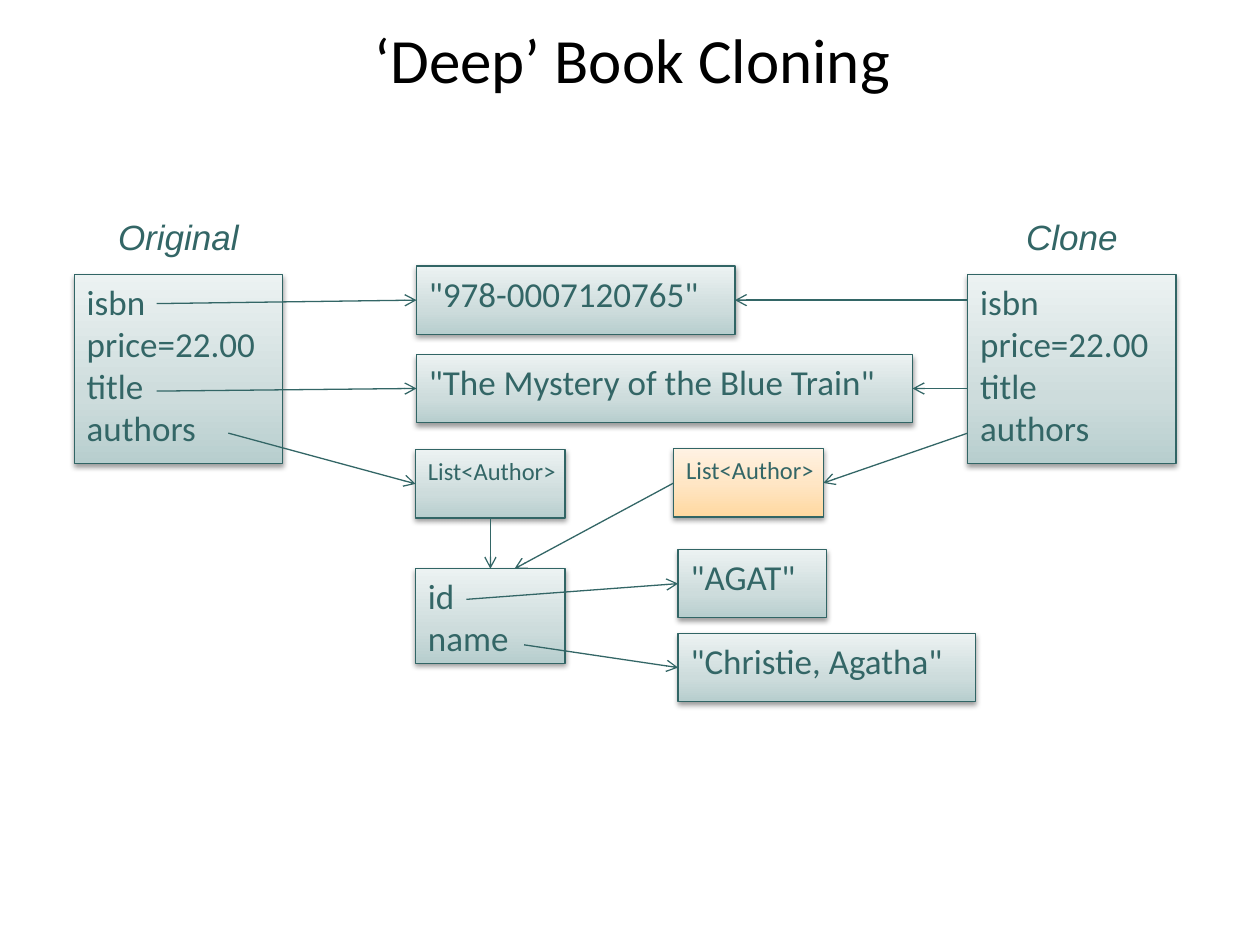
from enum import IntEnum

from lxml.etree import SubElement
from pptx import Presentation
from pptx.dml.color import RGBColor
from pptx.enum.shapes import MSO_CONNECTOR, MSO_SHAPE
from pptx.enum.text import MSO_ANCHOR, PP_ALIGN
from pptx.oxml.ns import qn
from pptx.util import Pt

BLACK = RGBColor(0x00, 0x00, 0x00)
TEAL = RGBColor(0x33, 0x66, 0x66)
BORDER = RGBColor(0x31, 0x65, 0x65)
# Gradient stops from bottom to top: percent and colour
TEAL_GRADIENT = (
    (0, RGBColor(0xB7, 0xCE, 0xCE)),
    (35, RGBColor(0xCD, 0xDC, 0xDC)),
    (100, RGBColor(0xEC, 0xF2, 0xF2)),
)
ORANGE_GRADIENT = (
    (0, RGBColor(0xFF, 0xD8, 0xA0)),
    (50, RGBColor(0xFF, 0xE6, 0xC5)),
    (100, RGBColor(0xFF, 0xF2, 0xE3)),
)


class Side(IntEnum):
    """Connection sites of a rectangle."""
    TOP = 0
    LEFT = 1
    BOTTOM = 2
    RIGHT = 3


def add_element(parent, tag, **attributes):
    values = {name: str(value) for name, value in attributes.items()}
    return SubElement(parent, qn(tag), values)


def write_text(shape, text, size=20, font="Calibri", color=TEAL, italic=False,
               align=PP_ALIGN.LEFT, anchor=MSO_ANCHOR.TOP, wrap=True):
    frame = shape.text_frame
    frame.text = text
    frame.word_wrap = wrap
    frame.vertical_anchor = anchor
    for paragraph in frame.paragraphs:
        paragraph.alignment = align
        for run in paragraph.runs:
            run.font.name = font
            run.font.size = Pt(size)
            run.font.italic = italic
            run.font.color.rgb = color


def fill_gradient(shape, stops):
    shape.fill.gradient()
    shape.fill.gradient_angle = 90
    stop_list = shape._element.spPr.find(qn("a:gradFill")).find(qn("a:gsLst"))
    for stop in list(stop_list):
        stop_list.remove(stop)
    for percent, color in stops:
        stop = add_element(stop_list, "a:gs", pos=percent * 1000)
        add_element(stop, "a:srgbClr", val=color)


def add_shadow(shape):
    shape.shadow.inherit = False
    effects = shape._element.spPr.find(qn("a:effectLst"))
    shadow = add_element(effects, "a:outerShdw", blurRad=Pt(3.1), dist=Pt(1.6),
                         dir=90 * 60000, rotWithShape=0)
    color = add_element(shadow, "a:srgbClr", val=BLACK)
    add_element(color, "a:alpha", val=38000)


class Diagram:
    line_width = Pt(0.75)

    def __init__(self, slide):
        self.slide = slide

    def title(self, text, left, top, width, height):
        title = self.slide.shapes.title
        title.left, title.top = Pt(left), Pt(top)
        title.width, title.height = Pt(width), Pt(height)
        write_text(title, text, size=36, color=BLACK, align=PP_ALIGN.CENTER,
                   anchor=MSO_ANCHOR.MIDDLE)

    def label(self, text, left, top, width, height):
        label = self.slide.shapes.add_textbox(Pt(left), Pt(top), Pt(width), Pt(height))
        write_text(label, text, font="Arial", italic=True, align=PP_ALIGN.CENTER)

    def box(self, text, left, top, width, height=39, size=20, gradient=TEAL_GRADIENT):
        box = self.slide.shapes.add_shape(
            MSO_SHAPE.RECTANGLE, Pt(left), Pt(top), Pt(width), Pt(height))
        fill_gradient(box, gradient)
        box.line.color.rgb = BORDER
        box.line.width = self.line_width
        add_shadow(box)
        write_text(box, text, size=size, wrap=False)
        return box

    def arrow(self, start, end=(0, 0), box=None, side=None):
        """Draw an arrow to a point, or to the middle of one side of a box."""
        arrow = self.slide.shapes.add_connector(
            MSO_CONNECTOR.STRAIGHT, *(Pt(value) for value in (*start, *end)))
        if box is not None:
            arrow.end_connect(box, side)
        arrow.line.color.rgb = TEAL
        arrow.line.width = self.line_width
        add_element(arrow.line._get_or_add_ln(), "a:tailEnd", type="arrow")
        add_element(arrow._element.spPr, "a:effectLst")


def main():
    presentation = Presentation()
    presentation.slide_width, presentation.slide_height = Pt(720), Pt(540)
    diagram = Diagram(presentation.slides.add_slide(presentation.slide_layouts[5]))

    diagram.title("‘Deep’ Book Cloning", 36.7, 0.7, 649.4, 65.5)
    original_left, clone_left, record_width = 42.5, 553, 119
    for name, left in (("Original", original_left), ("Clone", clone_left)):
        diagram.label(name, left, 119.5, record_width, 31.7)
        diagram.box("isbn\nprice=22.00\ntitle\nauthors", left, 157, record_width, 108)

    isbn = diagram.box('"978-0007120765"', 238, 152, 182)
    title = diagram.box('"The Mystery of the Blue Train"', 238, 202.5, 283.5)
    authors = diagram.box("List<Author>", 237.5, 257, 85.5, size=14)
    cloned_authors = diagram.box("List<Author>", 385, 256.5, 85.5, size=14,
                                 gradient=ORANGE_GRADIENT)
    author = diagram.box("id\nname", 237.5, 325, 85.5, 54)
    author_id = diagram.box('"AGAT"', 387.5, 314, 85)
    author_name = diagram.box('"Christie, Agatha"', 387.5, 362, 170)

    for start, box, side in (
        ((89.5, 173.5), isbn, Side.LEFT),
        ((clone_left, 171.5), isbn, Side.RIGHT),
        ((89.5, 223.5), title, Side.LEFT),
        ((clone_left, 222), title, Side.RIGHT),
        ((130.5, 247.5), authors, Side.LEFT),
        ((clone_left, 247.5), cloned_authors, Side.RIGHT),
        ((280.25, 296), author, Side.TOP),
        ((266.5, 342.5), author_id, Side.LEFT),
        ((299.5, 368.5), author_name, Side.LEFT),
    ):
        diagram.arrow(start, box=box, side=side)
    diagram.arrow((385, 276), end=(294, 325))

    presentation.save("out.pptx")


if __name__ == "__main__":
    main()
